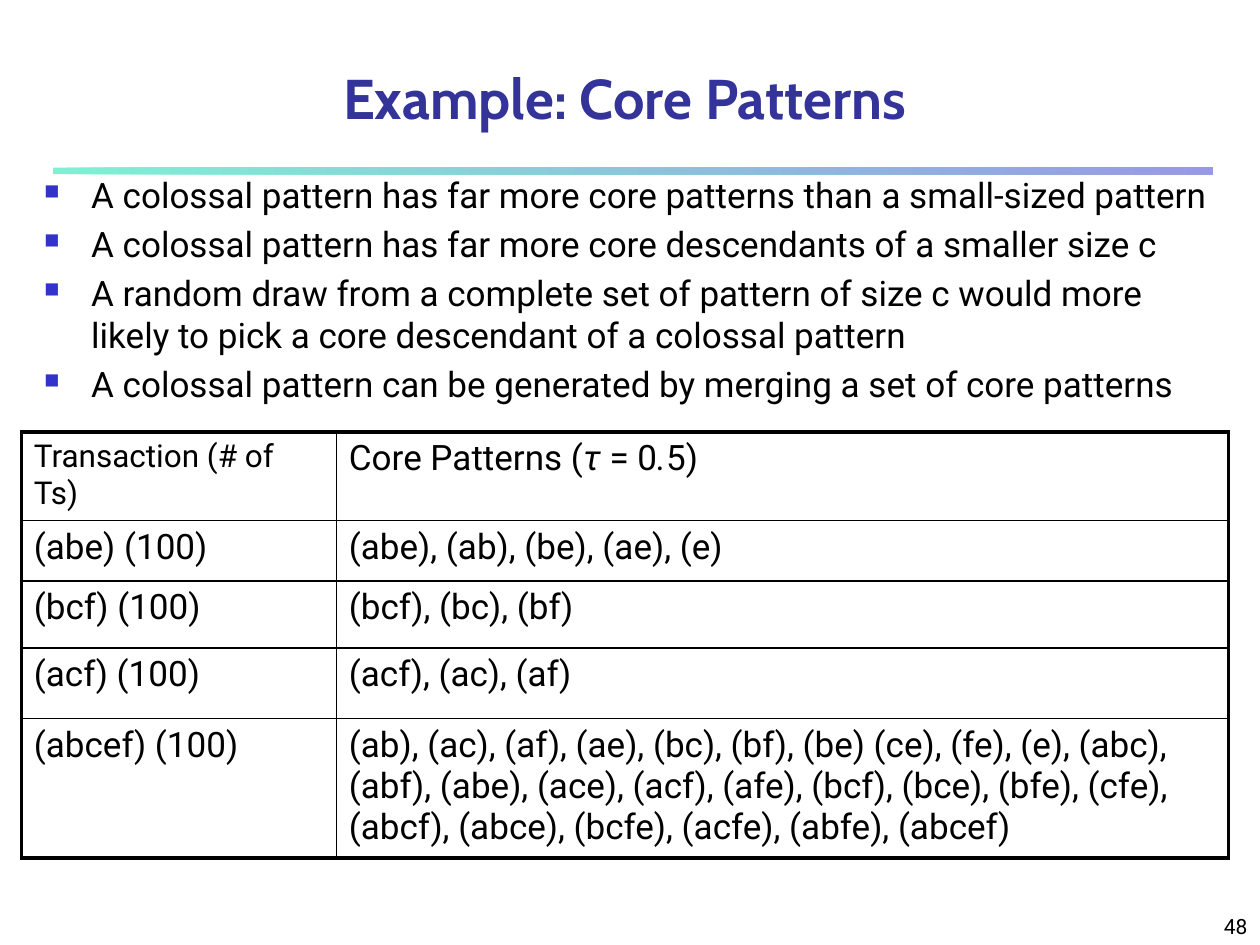
from pptx import Presentation
from pptx.dml.color import RGBColor
from pptx.enum.shapes import MSO_SHAPE
from pptx.enum.text import MSO_ANCHOR, PP_ALIGN
from pptx.oxml.ns import qn
from pptx.util import Cm, Pt
from lxml import etree

RECT = MSO_SHAPE.RECTANGLE
BOTTOM = MSO_ANCHOR.BOTTOM
CENTER, RIGHT = PP_ALIGN.CENTER, PP_ALIGN.RIGHT
BLACK, BLUE = "000000", "3333CC"


def color(text):
    return RGBColor.from_string(text)


def style(run, size, name="Roboto", ink=BLACK):
    run.font.size = Pt(size)
    run.font.name = name
    run.font.color.rgb = color(ink)


prs = Presentation()
prs.slide_width, prs.slide_height = Cm(25.4), Cm(19.05)
slide = prs.slides.add_slide(prs.slide_layouts[6])
shapes = slide.shapes

# Gradient rule under the title
rule = shapes.add_shape(RECT, Cm(1.07), Cm(3.38), Cm(23.37), Cm(0.13))
rule.shadow.inherit = False
rule.line.fill.background()
rule.fill.gradient()
rule.fill.gradient_angle = 0
for stop, ink in zip(rule.fill.gradient_stops, ("00E4A8", BLUE)):
    stop.color.rgb = color(ink)
for node in rule._element.iter(qn("a:srgbClr")):
    etree.SubElement(node, qn("a:alpha"), val="50000")

# Title and slide number
labels = [
    ("Example: Core Patterns", (1.07, 1.07, 23.06, 1.7), CENTER, 32, "Cabin", "333399"),
    ("48", (20.12, 17.98, 5.28, 1.07), RIGHT, 12, "Roboto", BLACK),
]
for text, place, align, size, name, ink in labels:
    frame = shapes.add_textbox(*map(Cm, place)).text_frame
    frame.word_wrap = True
    frame.vertical_anchor = BOTTOM
    frame.text = text
    para = frame.paragraphs[0]
    para.alignment = align
    style(para.runs[0], size, name, ink)
    para.runs[0].font.bold = name == "Cabin"

# Bullet list
points = [
    "A colossal pattern has far more core patterns than a small-sized pattern",
    "A colossal pattern has far more core descendants of a smaller size c",
    "A random draw from a complete set of pattern of size c would more likely "
    "to pick a core descendant of a colossal pattern",
    "A colossal pattern can be generated by merging a set of core patterns",
]
frame = shapes.add_textbox(Cm(0.64), Cm(3.38), Cm(24.13), Cm(5.08)).text_frame
frame.word_wrap = True
frame.text = "\n".join(points)
for para in frame.paragraphs:
    para.space_before = Pt(4)
    style(para.runs[0], 20)
    props = para._p.get_or_add_pPr()
    props.set("marL", str(Cm(0.95)))
    props.set("indent", str(-Cm(0.95)))
    tint = etree.SubElement(props, qn("a:buClr"))
    etree.SubElement(tint, qn("a:srgbClr"), val=BLUE)
    etree.SubElement(props, qn("a:buSzPct"), val="60000")
    etree.SubElement(props, qn("a:buChar"), char="■")

# Table of core patterns
rows = [
    ("Transaction (# of Ts)", ""),
    ("(abe) (100)", "(abe), (ab), (be), (ae), (e)"),
    ("(bcf) (100)", "(bcf), (bc), (bf)"),
    ("(acf) (100)", "(acf), (ac), (af)"),
    ("(abcef) (100)",
     "(ab), (ac), (af), (ae), (bc), (bf), (be) (ce), (fe), (e), (abc), "
     "(abf), (abe), (ace), (acf), (afe), (bcf), (bce), (bfe), (cfe), "
     "(abcf), (abce), (bcfe), (acfe), (abfe), (abcef)"),
]
heights = [1.22, 1.22, 1.35, 1.42, 2.82]
widths = [6.35, 17.98]
grid = shapes.add_table(len(rows), len(widths), Cm(0.43), Cm(8.71),
                        Cm(sum(widths)), Cm(sum(heights))).table
grid.first_row = grid.horz_banding = False
for col, width in zip(grid.columns, widths):
    col.width = Cm(width)
for row, height in zip(grid.rows, heights):
    row.height = Cm(height)

# Heading with italic parts
head = grid.cell(0, 1).text_frame.paragraphs[0]
for text, slant in [("Core Patterns (", False), ("τ ", True), ("= 0", False),
                    (".", True), ("5)", False)]:
    run = head.add_run()
    run.text = text
    run.font.italic = slant

# Cell text, and borders that are thick on the outside
for i, row in enumerate(rows):
    for j, text in enumerate(row):
        cell = grid.cell(i, j)
        para = cell.text_frame.paragraphs[0]
        if text:
            para.text = text
        size = 18 if i == j == 0 else 20
        para.space_before = Pt(size * 0.2)
        for run in para.runs:
            style(run, size)
        props = cell._tc.get_or_add_tcPr()
        outer = {"L": j == 0, "R": j == 1, "T": i == 0, "B": i == len(rows) - 1}
        for side, thick in outer.items():
            line = etree.SubElement(props, qn("a:ln" + side),
                                    w=str(Pt(2.25 if thick else 1)))
            fill = etree.SubElement(line, qn("a:solidFill"))
            etree.SubElement(fill, qn("a:srgbClr"), val=BLACK)
        cell.fill.background()

prs.save("out.pptx")
